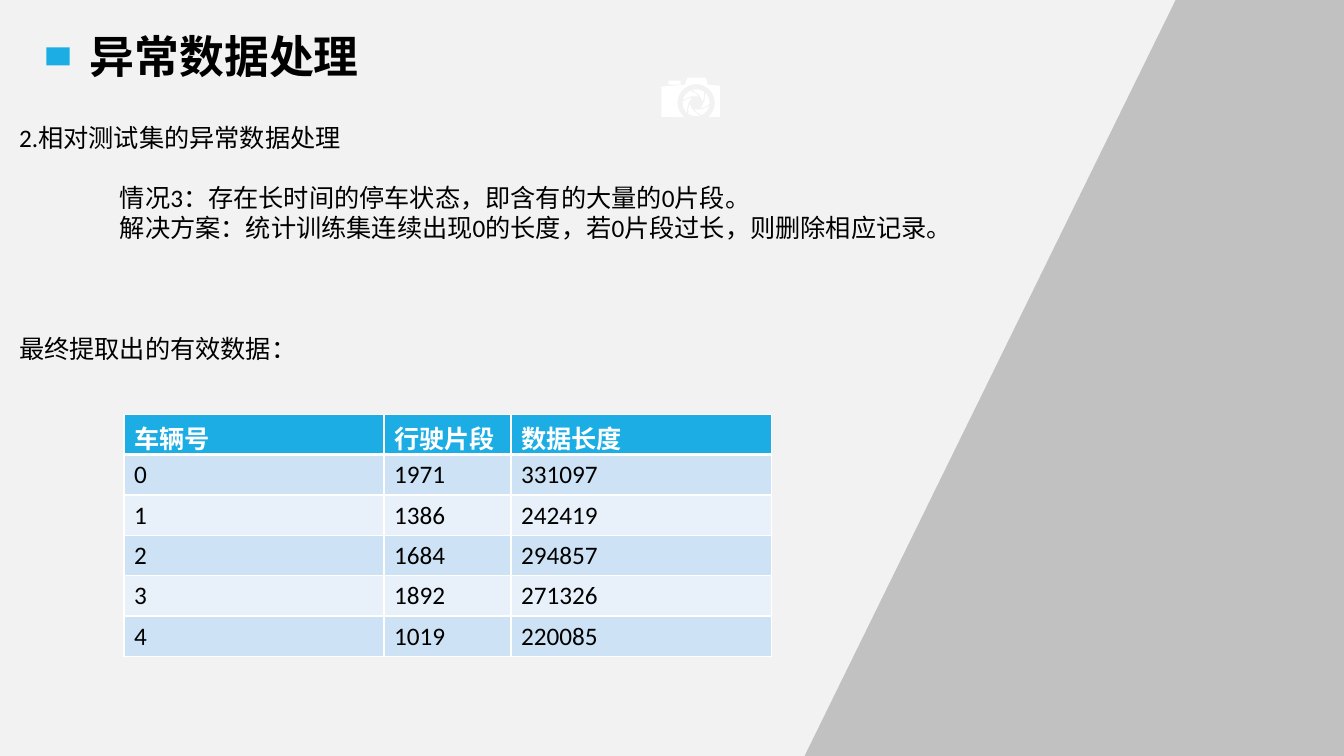
import math
from dataclasses import dataclass

import lxml.etree
import pptx
import pptx.dml.color
import pptx.enum.shapes
import pptx.enum.text
import pptx.oxml.ns
import pptx.util


@dataclass(frozen=True)
class Theme:
    background: str = "F2F2F2"
    accent: str = "1CADE4"
    dark_band: str = "CDE3F5"
    light_band: str = "E8F1FA"
    black: str = "000000"
    white: str = "FFFFFF"
    heading_font: str = "Noto Sans CJK SC"
    body_font: str = "Calibri"
    heading_size: float = 32
    body_size: float = 18
    line_pitch: float = 21.6


class SlideBuilder:
    def __init__(self, presentation, theme):
        self.theme = theme
        self.width = presentation.slide_width
        self.height = presentation.slide_height
        self.slide = presentation.slides.add_slide(presentation.slide_layouts[6])
        self.paint(self.slide.background.fill, theme.background)

    def x(self, percent):
        return round(self.width * percent / 100)

    def y(self, percent):
        return round(self.height * percent / 100)

    def box(self, left, top, width, height):
        return self.x(left), self.y(top), self.x(width), self.y(height)

    def paint(self, fill, color):
        fill.solid()
        fill.fore_color.rgb = pptx.dml.color.RGBColor.from_string(color)

    def finish(self, shape, color, opacity=100):
        shape.shadow.inherit = False
        shape.line.fill.background()
        self.paint(shape.fill, color)
        if opacity < 100:
            color_element = shape.fill._xPr.find(".//" + pptx.oxml.ns.qn("a:srgbClr"))
            alpha = lxml.etree.SubElement(color_element, pptx.oxml.ns.qn("a:alpha"))
            alpha.set("val", str(opacity * 1000))

    def outline(self, contours, color, opacity=100):
        scaled = [[(self.x(x), self.y(y)) for x, y in contour] for contour in contours]
        builder = self.slide.shapes.build_freeform(*scaled[0][0])
        for index, contour in enumerate(scaled):
            if index:
                builder.move_to(*contour[0])
            builder.add_line_segments(contour[1:], close=True)
        self.finish(builder.convert_to_shape(), color, opacity)

    def rectangle(self, area, color):
        kind = pptx.enum.shapes.MSO_SHAPE.RECTANGLE
        self.finish(self.slide.shapes.add_shape(kind, *self.box(*area)), color)

    def add_run(self, paragraph, text, font_name, size, color, bold=False):
        run = paragraph.add_run()
        run.text = text
        run.font.name = font_name
        run.font.size = pptx.util.Pt(size)
        run.font.bold = bold
        run.font.color.rgb = pptx.dml.color.RGBColor.from_string(color)

    def text_frame(self, area):
        frame = self.slide.shapes.add_textbox(*self.box(*area)).text_frame
        frame.word_wrap = True
        return frame

    def title(self, text, area):
        theme = self.theme
        frame = self.text_frame(area)
        frame.word_wrap = False
        frame.margin_left = self.x(1.5)
        self.add_run(frame.paragraphs[0], text, theme.heading_font,
                     theme.heading_size, theme.black, bold=True)

    def body(self, lines, area):
        theme = self.theme
        frame = self.text_frame(area)
        for index, (text, indent, gap_lines) in enumerate(lines):
            paragraph = frame.add_paragraph() if index else frame.paragraphs[0]
            if indent:
                paragraph._p.get_or_add_pPr().set("marL", str(self.x(indent)))
            if gap_lines:
                paragraph.space_before = pptx.util.Pt(gap_lines * theme.line_pitch)
            self.add_run(paragraph, text, theme.body_font, theme.body_size, theme.black)

    def border(self, cell, side, width):
        properties = cell._tc.get_or_add_tcPr()
        line = lxml.etree.SubElement(properties, pptx.oxml.ns.qn("a:ln" + side))
        line.set("w", str(pptx.util.Pt(width)))
        fill = lxml.etree.SubElement(line, pptx.oxml.ns.qn("a:solidFill"))
        color = lxml.etree.SubElement(fill, pptx.oxml.ns.qn("a:srgbClr"))
        color.set("val", self.theme.white)

    def table(self, records, column_widths, area):
        theme = self.theme
        frame = self.slide.shapes.add_table(len(records), len(column_widths), *self.box(*area))
        table = frame.table
        table.horz_banding = False
        for column, width in zip(table.columns, column_widths):
            column.width = self.x(width)
        for row_index, record in enumerate(records):
            header = row_index == 0
            band = theme.dark_band if row_index % 2 else theme.light_band
            for column_index, value in enumerate(record):
                cell = table.cell(row_index, column_index)
                for side in "LRTB":
                    heavy = (side, row_index) in (("B", 0), ("T", 1))
                    self.border(cell, side, 3 if heavy else 1)
                self.paint(cell.fill, theme.accent if header else band)
                self.add_run(cell.text_frame.paragraphs[0], value, theme.body_font,
                             theme.body_size, theme.white if header else theme.black, header)

    def camera(self, center_x, center_y):
        def place(points):
            return [(center_x + 0.075 * x, center_y + 0.1333 * y) for x, y in points]

        def turn(point, degrees):
            x, y = point
            cosine, sine = math.cos(math.radians(degrees)), math.sin(math.radians(degrees))
            return x * cosine - y * sine, x * sine + y * cosine

        flash = [(-27.5, -22), (-15.5, -22), (-15.5, -18), (-27.5, -18)]
        case = [(-34.5, 14), (-34.5, -16), (-11.5, -18), (-8.5, -25), (9.5, -25),
                (11.5, -18), (23.5, -17), (23.5, 14)]
        lens = [turn((18.5, 0), degrees) for degrees in range(50, -231, -10)]
        blade = [(-13.5, -1), (-9.5, -3.7), (-4.5, -5), (-8, 1), (-9.5, 10), (-12.5, 5)]
        blades = [[turn(point, degrees) for point in blade] for degrees in range(0, 360, 60)]
        contours = [flash, case + lens, *blades]
        self.outline([place(points) for points in contours], self.theme.white)


def main():
    presentation = pptx.Presentation()
    presentation.slide_width = pptx.util.Inches(13.33)
    presentation.slide_height = pptx.util.Inches(7.5)
    theme = Theme()
    builder = SlideBuilder(presentation, theme)

    side_panel = [(87.47, 0), (59.86, 100), (100, 100), (100, 0)]
    builder.outline([side_panel], theme.black, opacity=20)
    builder.camera(51.8, 13.6)
    builder.rectangle((3.45, 6.27, 1.73, 2.4), theme.accent)
    builder.title("异常数据处理", (5.18, 3.2, 23.03, 8.53))
    builder.body([
        ("2.相对测试集的异常数据处理", 0, 0),
        ("情况3：存在长时间的停车状态，即含有的大量的0片段。", 7.5, 1),
        ("解决方案：统计训练集连续出现0的长度，若0片段过长，则删除相应记录。", 7.5, 0),
        ("最终提取出的有效数据：", 0, 3),
    ], (0.68, 15.47, 81.17, 37.73))
    builder.table([
        ("车辆号", "行驶片段", "数据长度"),
        ("0", "1971", "331097"),
        ("1", "1386", "242419"),
        ("2", "1684", "294857"),
        ("3", "1892", "271326"),
        ("4", "1019", "220085"),
    ], (19.35, 9.45, 19.35), (9.23, 54.8, 48.15, 32))
    presentation.save("out.pptx")


if __name__ == "__main__":
    main()
